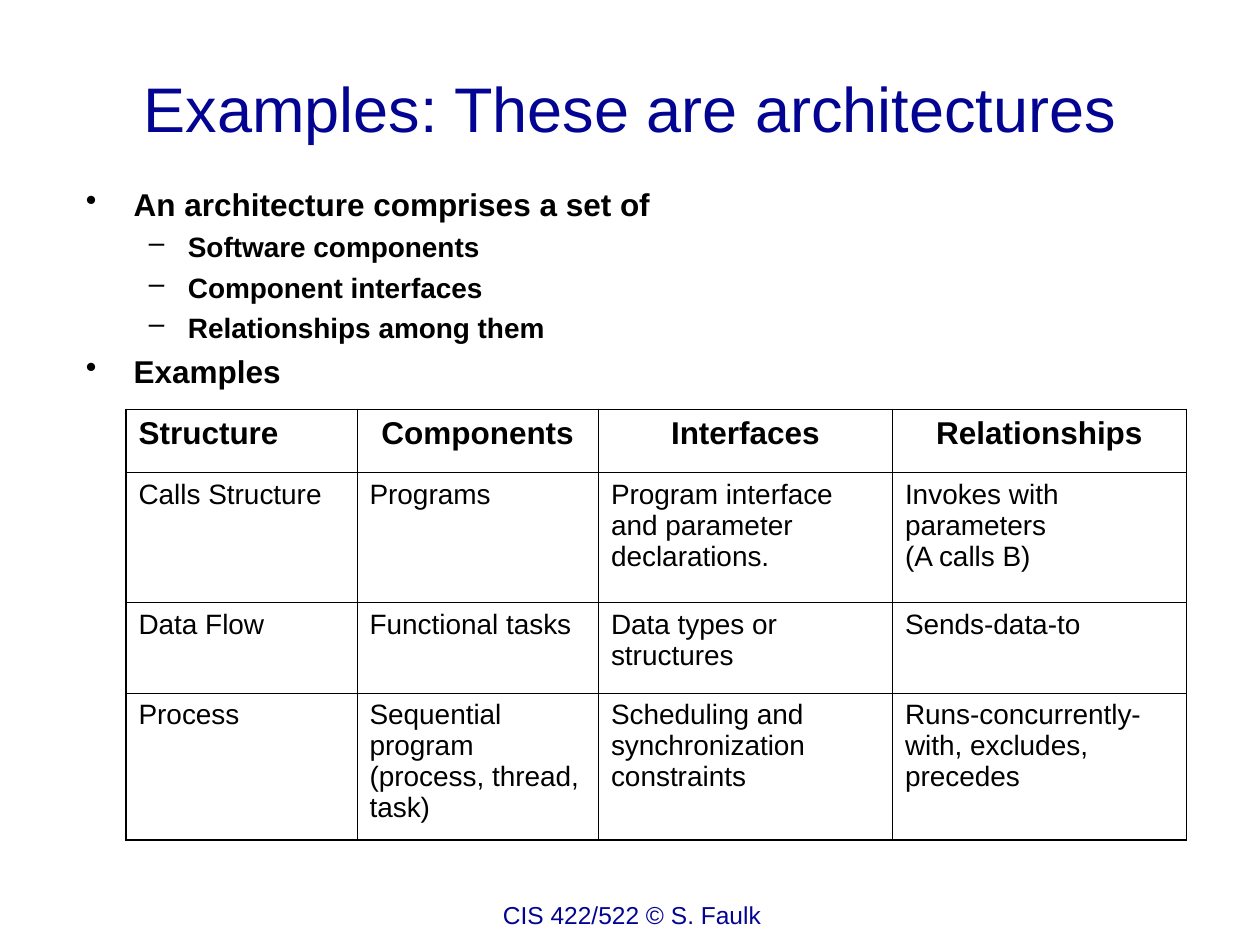
from dataclasses import dataclass

from lxml import etree
from pptx import Presentation
from pptx.dml.color import RGBColor
from pptx.enum.text import MSO_ANCHOR, PP_ALIGN
from pptx.oxml.ns import qn
from pptx.util import Inches, Pt

LEFT, CENTER = PP_ALIGN.LEFT, PP_ALIGN.CENTER
TOP, MIDDLE = MSO_ANCHOR.TOP, MSO_ANCHOR.MIDDLE
WIDE, HIGH = Inches(10), Inches(7.5)
UNIT = WIDE / 120


@dataclass(frozen=True)
class Theme:
    font: str = "Arial"
    ink: str = "000000"
    navy: str = "040493"
    title: int = 36
    head: int = 18
    text: int = 16
    foot: int = 14
    thin: float = 0.45
    thick: float = 1.08


THEME = Theme()
LEVELS = (
    ("•", 0.38, 0.38, THEME.head),
    ("–", 0.81, 0.31, THEME.text),
)
POINTS = (
    (0, "An architecture comprises a set of"),
    (1, "Software components"),
    (1, "Component interfaces"),
    (1, "Relationships among them"),
    (0, "Examples"),
)
COLS = (22, 23, 28, 28)
ROWS = (6, 12.4, 8.6, 14)
CELLS = (
    ("Structure", "Components", "Interfaces", "Relationships"),
    ("Calls Structure", "Programs",
     "Program interface and parameter declarations.",
     "Invokes with parameters\n(A calls B)"),
    ("Data Flow", "Functional tasks", "Data types or structures",
     "Sends-data-to"),
    ("Process", "Sequential program (process, thread, task)",
     "Scheduling and synchronization constraints",
     "Runs-concurrently-with, excludes, precedes"),
)


def grid(*cells):
    return [round(cell * UNIT) for cell in cells]


def add_run(para, text, size, color=THEME.ink, bold=False):
    for num, line in enumerate(text.split("\n")):
        if num:
            para.add_line_break()
        run = para.add_run()
        run.text = line
        font = run.font
        font.name, font.size, font.bold = THEME.font, Pt(size), bold
        font.color.rgb = RGBColor.from_string(color)


def add_box(slide, place, anchor=TOP, wrap=True):
    frame = slide.shapes.add_textbox(*grid(*place)).text_frame
    frame.word_wrap = wrap
    frame.vertical_anchor = anchor
    return frame


def add_label(slide, place, text, size, wrap=True):
    para = add_box(slide, place, MIDDLE, wrap).paragraphs[0]
    para.alignment = CENTER
    add_run(para, text, size, THEME.navy)


def set_bullet(para, level):
    mark, left, hang, size = LEVELS[level]
    para.level = level
    props = para._p.get_or_add_pPr()
    props.set("marL", str(Inches(left)))
    props.set("indent", str(-Inches(hang)))
    tint = etree.SubElement(props, qn("a:buClr"))
    etree.SubElement(tint, qn("a:srgbClr"), val=THEME.ink)
    etree.SubElement(props, qn("a:buChar"), char=mark)
    return size


def add_list(slide, place):
    frame = add_box(slide, place)
    for num, (level, text) in enumerate(POINTS):
        para = frame.add_paragraph() if num else frame.paragraphs[0]
        size = set_bullet(para, level)
        para.space_before = Pt(size / 4 if num else 0)
        add_run(para, text, size, bold=True)


def set_edges(cell, edges):
    props = cell._tc.get_or_add_tcPr()
    for num, (side, outer) in enumerate(edges):
        width = Pt(THEME.thick if outer else THEME.thin)
        line = etree.Element(qn(f"a:ln{side}"), w=str(width))
        fill = etree.SubElement(line, qn("a:solidFill"))
        etree.SubElement(fill, qn("a:srgbClr"), val=THEME.ink)
        props.insert(num, line)


def add_grid(slide, left, top):
    place = grid(left, top, sum(COLS), sum(ROWS))
    table = slide.shapes.add_table(len(ROWS), len(COLS), *place).table
    table.first_row = table.horz_banding = False
    for col, width in zip(table.columns, grid(*COLS)):
        col.width = width
    for row, height in zip(table.rows, grid(*ROWS)):
        row.height = height
    for r, texts in enumerate(CELLS):
        for c, text in enumerate(texts):
            cell = table.cell(r, c)
            cell.fill.background()
            set_edges(cell, (
                ("L", c == 0), ("R", c == len(COLS) - 1),
                ("T", r == 0), ("B", r == len(ROWS) - 1),
            ))
            para = cell.text_frame.paragraphs[0]
            head = r == 0
            para.alignment = CENTER if head and c else LEFT
            add_run(para, text, THEME.head if head else THEME.text, bold=head)


def main():
    deck = Presentation()
    deck.slide_width, deck.slide_height = WIDE, HIGH
    slide = deck.slides.add_slide(deck.slide_layouts[6])
    add_label(slide, (46.7, 85.1, 27, 4), "CIS 422/522 © S. Faulk",
              THEME.foot, False)
    add_label(slide, (9, 6, 102, 8.4), "Examples: These are architectures",
              THEME.title)
    add_list(slide, (7, 17, 102, 21))
    add_grid(slide, 12, 39)
    deck.save("out.pptx")


if __name__ == "__main__":
    main()
